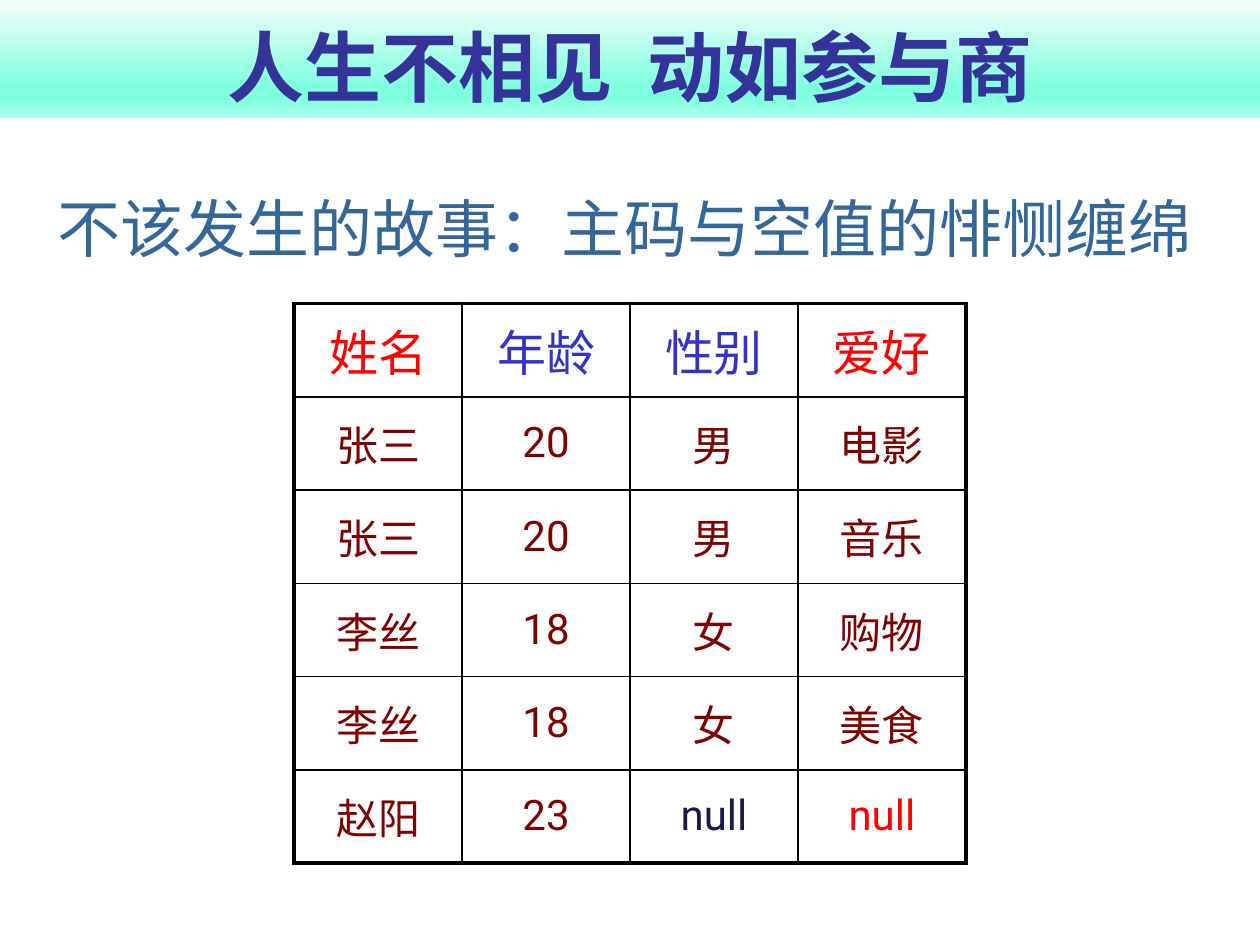
from lxml.etree import SubElement
from pptx import Presentation
from pptx.dml.color import RGBColor
from pptx.enum.text import MSO_ANCHOR, MSO_AUTO_SIZE, PP_ALIGN
from pptx.oxml.ns import qn
from pptx.util import Cm, Pt

HUES = {
    "title": "333399", "lead": "336699", "key": "FF0000", "head": "3333CC",
    "body": "800000", "null": "19194D", "line": "000000",
}
# Title band gradient: position in percent, colour
STOPS = [(0, "F1FFFB"), (74, "80FFDE"), (83, "80FFDE"), (100, "AAFFE9")]
LATIN, HAN = "Roboto", "Noto Sans CJK SC"
THIN, THICK = Pt(1), Pt(2.25)

ROWS = [
    ["姓名", "年龄", "性别", "爱好"],
    ["张三", "20", "男", "电影"],
    ["张三", "20", "男", "音乐"],
    ["李丝", "18", "女", "购物"],
    ["李丝", "18", "女", "美食"],
    ["赵阳", "23", "null", "null"],
]
HEADS = ["key", "head", "head", "key"]
NULLS = {(5, 2): "null", (5, 3): "key"}


def write(frame, text, size, hue, face=LATIN, bold=False):
    """Fill a frame with one centred, styled line."""
    frame.text = text
    line = frame.paragraphs[0]
    line.alignment = PP_ALIGN.CENTER
    run = line.runs[0]
    font = run.font
    font.name, font.size, font.bold = face, Pt(size), bold
    font.color.rgb = RGBColor.from_string(HUES[hue])
    SubElement(font._element, qn("a:ea"), typeface=HAN)


def place(shape, box):
    shape.left, shape.top, shape.width, shape.height = box


def add_title(slide, box):
    band = slide.shapes.title
    place(band, box)
    # Four-stop gradient, running downwards
    grad = SubElement(band._element.spPr, qn("a:gradFill"), rotWithShape="1")
    stops = SubElement(grad, qn("a:gsLst"))
    for pos, hue in STOPS:
        stop = SubElement(stops, qn("a:gs"), pos=str(pos * 1000))
        SubElement(stop, qn("a:srgbClr"), val=hue)
    SubElement(grad, qn("a:lin"), ang="5400000", scaled="1")
    frame = band.text_frame
    frame.auto_size = MSO_AUTO_SIZE.NONE
    frame.vertical_anchor = MSO_ANCHOR.BOTTOM
    write(frame, "人生不相见  动如参与商", 44, "title", bold=True)


def add_lead(slide, box):
    frame = slide.shapes.add_textbox(*box).text_frame
    # Side insets are dropped so that the line fits the box
    frame.margin_left = frame.margin_right = 0
    frame.word_wrap = False
    frame.auto_size = MSO_AUTO_SIZE.SHAPE_TO_FIT_TEXT
    write(frame, "不该发生的故事：主码与空值的悱恻缠绵", 36, "lead", HAN)


def add_edges(cell, row, col):
    """Rule a cell: thick on the outside of the grid, thin within."""
    outer = {
        "L": col == 0, "R": col == len(ROWS[0]) - 1,
        "T": row == 0, "B": row == len(ROWS) - 1,
    }
    props = cell._tc.get_or_add_tcPr()
    for side, thick in outer.items():
        edge = SubElement(props, qn("a:ln" + side), w=str(THICK if thick else THIN))
        fill = SubElement(edge, qn("a:solidFill"))
        SubElement(fill, qn("a:srgbClr"), val=HUES["line"])


def add_grid(slide, box):
    grid = slide.shapes.add_table(len(ROWS), len(ROWS[0]), *box).table
    grid.first_row = grid.horz_banding = False
    for row, texts in enumerate(ROWS):
        for col, text in enumerate(texts):
            cell = grid.cell(row, col)
            cell.vertical_anchor = MSO_ANCHOR.MIDDLE
            add_edges(cell, row, col)
            cell.fill.background()
            hue = HEADS[col] if row == 0 else NULLS.get((row, col), "body")
            write(cell.text_frame, text, 24 if row else 28, hue)


def main():
    deck = Presentation()
    deck.slide_width, deck.slide_height = Cm(25.4), Cm(19.05)
    slide = deck.slides.add_slide(deck.slide_layouts[5])
    add_title(slide, (0, 0, deck.slide_width, Cm(2.38)))
    add_grid(slide, (Cm(5.93), Cm(6.12), Cm(13.54), Cm(11.28)))
    add_lead(slide, (Cm(1), Cm(3.7), Cm(23.2), Cm(1.85)))
    deck.save("out.pptx")


if __name__ == "__main__":
    main()
